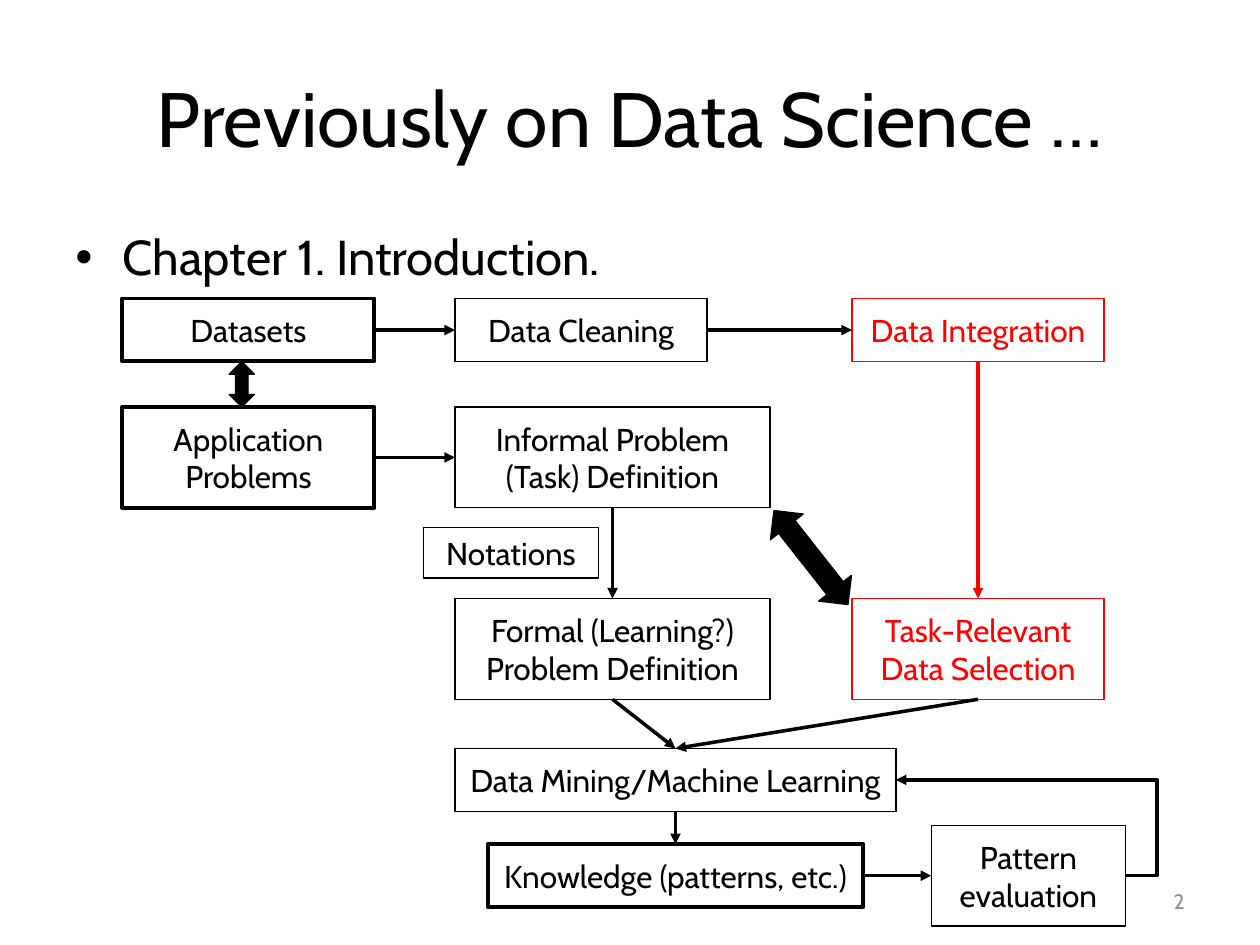
import pptx
import pptx.util
import pptx.dml.color
import pptx.enum.shapes
import pptx.enum.text
import pptx.oxml.ns
import lxml.etree

Pt = pptx.util.Pt
KIND = pptx.enum.shapes.MSO_SHAPE
LINK = pptx.enum.shapes.MSO_CONNECTOR
ALIGN = pptx.enum.text.PP_ALIGN
ANCHOR = pptx.enum.text.MSO_ANCHOR
qn = pptx.oxml.ns.qn

FONT = "Cabin"
HUES = {"ink": "000000", "new": "FF0000", "page": "8C8C8C"}
TOP, LEFT, BOTTOM, RIGHT = range(4)
THIN, BOLD = 0.75, 2.25

# name: (text, x, y, width, height, line width, hue), from the diagram's corner
BOXES = {
    "data": ("Datasets", 0, 0, 144, 36, BOLD, "ink"),
    "apps": ("Application Problems", 0, 62, 144, 57.6, BOLD, "ink"),
    "task": ("Informal Problem (Task) Definition", 190, 62, 180, 57.6, THIN, "ink"),
    "formal": ("Formal (Learning?) Problem Definition",
               190, 171.4, 180, 57.6, THIN, "ink"),
    "clean": ("Data Cleaning", 190, 0, 144, 36, THIN, "ink"),
    "merge": ("Data Integration", 416.9, 0, 144, 36, THIN, "new"),
    "select": ("Task-Relevant Data Selection",
               416.9, 171.4, 144, 57.6, THIN, "new"),
    "mine": ("Data Mining/Machine Learning", 190, 257.1, 252, 36, THIN, "ink"),
    "know": ("Knowledge (patterns, etc.)", 208.7, 311.8, 214.6, 36, BOLD, "ink"),
    "check": ("Pattern evaluation", 462.2, 301, 111, 57.6, THIN, "ink"),
    "notes": ("Notations", 172, 131, 100, 28.8, THIN, "ink"),
}
LINKS = [
    ("data", RIGHT, "clean", LEFT, "ink"),
    ("clean", RIGHT, "merge", LEFT, "ink"),
    ("merge", BOTTOM, "select", TOP, "new"),
    ("apps", RIGHT, "task", LEFT, "ink"),
    ("task", BOTTOM, "formal", TOP, "ink"),
    ("formal", BOTTOM, "mine", TOP, "ink"),
    ("select", BOTTOM, "mine", TOP, "ink"),
    ("mine", BOTTOM, "know", TOP, "ink"),
    ("know", RIGHT, "check", LEFT, "ink"),
    ("check", RIGHT, "mine", RIGHT, "ink"),
]
# x, y, width, height, rotation
DUALS = [(61, 36, 14.4, 26, 0), (381.5, 113.8, 23.8, 68.4, 141.8)]


def rgb(hue):
    return pptx.dml.color.RGBColor.from_string(HUES[hue])


def write(shape, text, size, hue, align, anchor=ANCHOR.MIDDLE):
    frame = shape.text_frame
    frame.text = text
    frame.word_wrap = True
    frame.vertical_anchor = anchor
    para = frame.paragraphs[0]
    para.alignment = align
    font = para.runs[0].font
    font.name, font.size = FONT, Pt(size)
    font.color.rgb = rgb(hue)
    return para


def label(slide, box, *style):
    return write(slide.shapes.add_textbox(*map(Pt, box)), *style)


def bullet(para, indent):
    props = para._p.get_or_add_pPr()
    props.set("marL", str(Pt(indent)))
    props.set("indent", str(-Pt(indent)))
    font = lxml.etree.SubElement(props, qn("a:buFont"))
    font.set("typeface", "Arial")
    mark = lxml.etree.SubElement(props, qn("a:buChar"))
    mark.set("char", "•")


def shape(slide, kind, box, width, hue):
    item = slide.shapes.add_shape(kind, *map(Pt, box))
    item.shadow.inherit = False
    item.fill.background()
    item.line.width = Pt(width)
    item.line.color.rgb = rgb(hue)
    return item


def link(slide, start, out, end, into, hue):
    """Join two boxes with an arrow; one between like sides bends around."""
    bent = out == into
    kind = LINK.ELBOW if bent else LINK.STRAIGHT
    wire = slide.shapes.add_connector(kind, 0, 0, 0, 0)
    wire.begin_connect(start, out)
    wire.end_connect(end, into)
    wire.line.width = Pt(2)
    wire.line.color.rgb = rgb(hue)
    props = wire._element.spPr
    head = lxml.etree.SubElement(props.find(qn("a:ln")), qn("a:tailEnd"))
    head.set("type", "triangle")
    lxml.etree.SubElement(props, qn("a:effectLst"))
    if bent:
        geom = props.find(qn("a:prstGeom"))
        rules = geom.find(qn("a:avLst"))
        if rules is None:
            rules = lxml.etree.SubElement(geom, qn("a:avLst"))
        bend = lxml.etree.SubElement(rules, qn("a:gd"))
        bend.set("name", "adj1")
        bend.set("fmla", f"val {round(-Pt(18) / wire.width * 100000)}")


def diagram(slide, left, top):
    nodes = {}
    for name, (text, x, y, wide, high, width, hue) in BOXES.items():
        node = shape(slide, KIND.RECTANGLE, (left + x, top + y, wide, high),
                     width, hue)
        write(node, text, 18, hue, ALIGN.CENTER)
        nodes[name] = node
    for start, out, end, into, hue in LINKS:
        link(slide, nodes[start], out, nodes[end], into, hue)
    for x, y, wide, high, turn in DUALS:
        dual = shape(slide, KIND.UP_DOWN_ARROW,
                     (left + x, top + y, wide, high), THIN, "ink")
        dual.fill.solid()
        dual.fill.fore_color.rgb = rgb("ink")
        dual.rotation = turn


def main():
    deck = pptx.Presentation()
    deck.slide_width, deck.slide_height = Pt(720), Pt(540)
    slide = deck.slides.add_slide(deck.slide_layouts[6])
    label(slide, (36, 21.6, 648, 90), "Previously on Data Science …",
          44, "ink", ALIGN.CENTER)
    point = label(slide, (36, 126, 648, 356.4), "Chapter 1. Introduction.",
                  28, "ink", ALIGN.LEFT, ANCHOR.TOP)
    bullet(point, 27)
    label(slide, (516, 500.5, 168, 28.8), "2", 12, "page", ALIGN.RIGHT)
    diagram(slide, 70, 170.6)
    deck.save("out.pptx")


if __name__ == "__main__":
    main()
